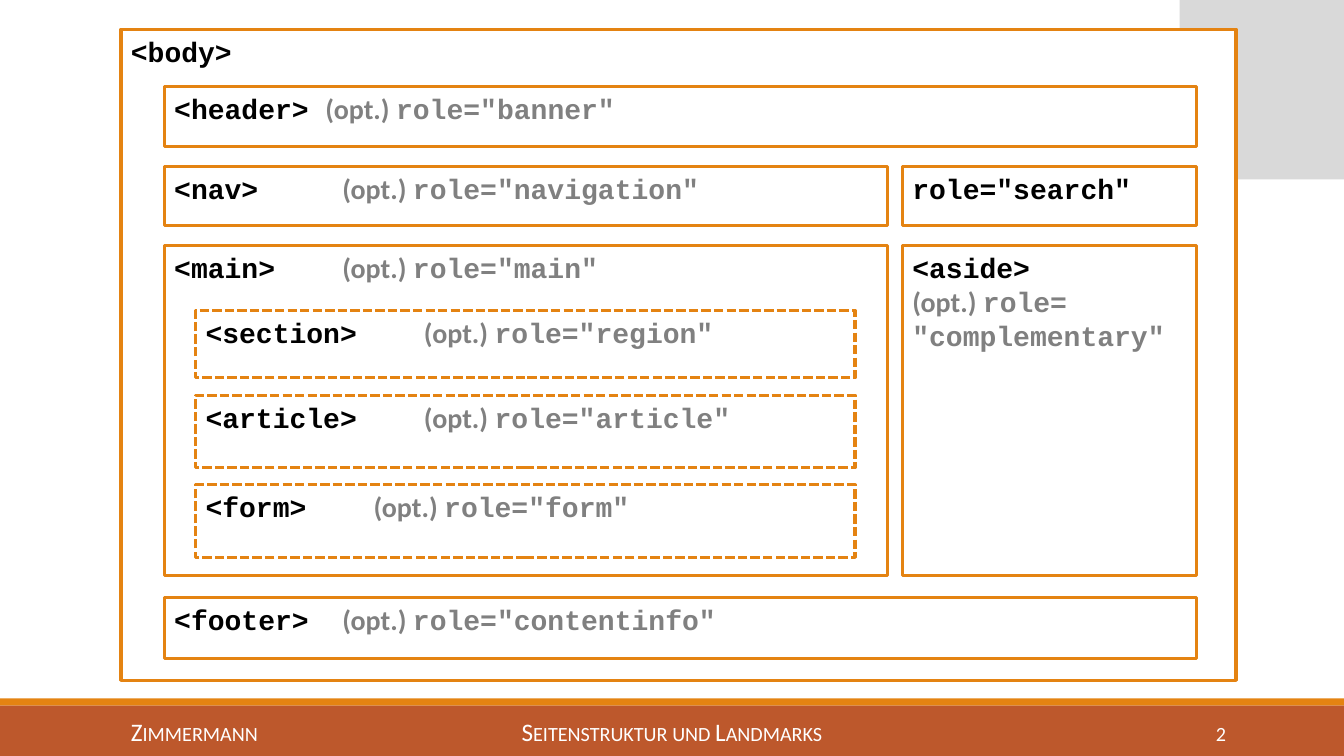
from dataclasses import dataclass

from pptx import Presentation
from pptx.dml.color import RGBColor
from pptx.enum.dml import MSO_LINE
from pptx.enum.shapes import MSO_SHAPE
from pptx.enum.text import MSO_ANCHOR, PP_ALIGN
from pptx.util import Inches, Pt


@dataclass(frozen=True)
class Theme:
    """Colours, fonts and sizes used on the slide."""
    orange: RGBColor = RGBColor.from_string("E48312")
    rust: RGBColor = RGBColor.from_string("BD582C")
    light_grey: RGBColor = RGBColor.from_string("D9D9D9")
    grey: RGBColor = RGBColor.from_string("808080")
    black: RGBColor = RGBColor.from_string("000000")
    white: RGBColor = RGBColor.from_string("FFFFFF")
    code_font: str = "Courier New"
    text_font: str = "Calibri"
    code_size: Pt = Pt(20)
    footer_size: Pt = Pt(18)
    border: Pt = Pt(2.25)


theme = Theme()
presentation = Presentation()
presentation.slide_width = Inches(13.33)
presentation.slide_height = Inches(7.5)
slide = presentation.slides.add_slide(presentation.slide_layouts[6])


def add_block(left, top, width, height, fill):
    """Add a flat rectangle without an outline, measured in inches."""
    block = slide.shapes.add_shape(
        MSO_SHAPE.RECTANGLE, *map(Inches, (left, top, width, height)))
    block.shadow.inherit = False
    block.fill.solid()
    block.fill.fore_color.rgb = fill
    block.line.fill.background()
    return block


def add_code(paragraph, text, color, font=theme.code_font):
    """Append one bold run in the given colour and font."""
    run = paragraph.add_run()
    run.text = text
    run.font.name = font
    run.font.color.rgb = color


# Page decoration
add_block(0, 6.93, 13.33, 0.07, theme.orange)
add_block(0, 7, 13.33, 0.5, theme.rust)
add_block(11.7, 0, 1.63, 1.78, theme.light_grey)

# Landmark grid: columns as (left, width), rows as (top, height)
page = (1.2, 11.06)
full = (1.63, 10.24)
content = (1.63, 7.17)
sidebar = (8.95, 2.92)
nested = (1.94, 6.54)
nav_row = (1.65, 0.59)
main_row = (2.44, 3.27)

# Column, row, element, lines of its optional role
landmarks = [
    (page, (0.29, 6.46), "<body>", []),
    (full, (0.86, 0.59), "<header>\t", ['role="banner"']),
    (content, nav_row, "<nav>\t\t ", ['role="navigation"']),
    (sidebar, nav_row, 'role="search"', []),
    (content, main_row, "<main>\t ", ['role="main"']),
    (nested, (3.08, 0.67), "<section>\t ", ['role="region"']),
    (nested, (3.92, 0.72), "<article>\t ", ['role="article"']),
    (nested, (4.81, 0.72), "<form>\t ", ['role="form"']),
    (sidebar, main_row, "<aside>", ["role=", '"complementary"']),
    (full, (5.93, 0.6), "<footer>\t ", ['role="contentinfo"']),
]
for column, row, element, role_lines in landmarks:
    landmark = add_block(column[0], row[0], column[1], row[1], theme.white)
    landmark.line.color.rgb = theme.orange
    landmark.line.width = theme.border
    if column is nested:
        landmark.line.dash_style = MSO_LINE.SQUARE_DOT

    frame = landmark.text_frame
    frame.word_wrap = True
    frame.vertical_anchor = MSO_ANCHOR.TOP
    label = frame.paragraphs[0]
    add_code(label, element, theme.black)
    if role_lines:
        role = frame.add_paragraph() if column is sidebar else label
        add_code(role, "(opt.) ", theme.grey, theme.text_font)
        add_code(role, role_lines[0], theme.grey)
        for continuation in role_lines[1:]:
            role.add_line_break()
            add_code(role, continuation, theme.grey)
    for paragraph in frame.paragraphs:
        paragraph.alignment = PP_ALIGN.LEFT
        paragraph.font.size = theme.code_size
        paragraph.font.bold = True

# Footer
footer_parts = [
    (1.2, 2.7, "Zimmermann", PP_ALIGN.LEFT),
    (4.03, 5.27, "Seitenstruktur und Landmarks", PP_ALIGN.CENTER),
    (10.83, 1.43, "2", PP_ALIGN.RIGHT),
]
for left, width, text, alignment in footer_parts:
    footer = slide.shapes.add_textbox(
        Inches(left), Inches(7.06), Inches(width), Inches(0.4)).text_frame
    footer.word_wrap = True
    footer.vertical_anchor = MSO_ANCHOR.MIDDLE
    paragraph = footer.paragraphs[0]
    paragraph.alignment = alignment
    paragraph.font.size = theme.footer_size
    paragraph.font.name = theme.text_font
    paragraph.font.color.rgb = theme.white
    run = paragraph.add_run()
    run.text = text
    run._r.get_or_add_rPr().set("cap", "small")

presentation.save("out.pptx")
